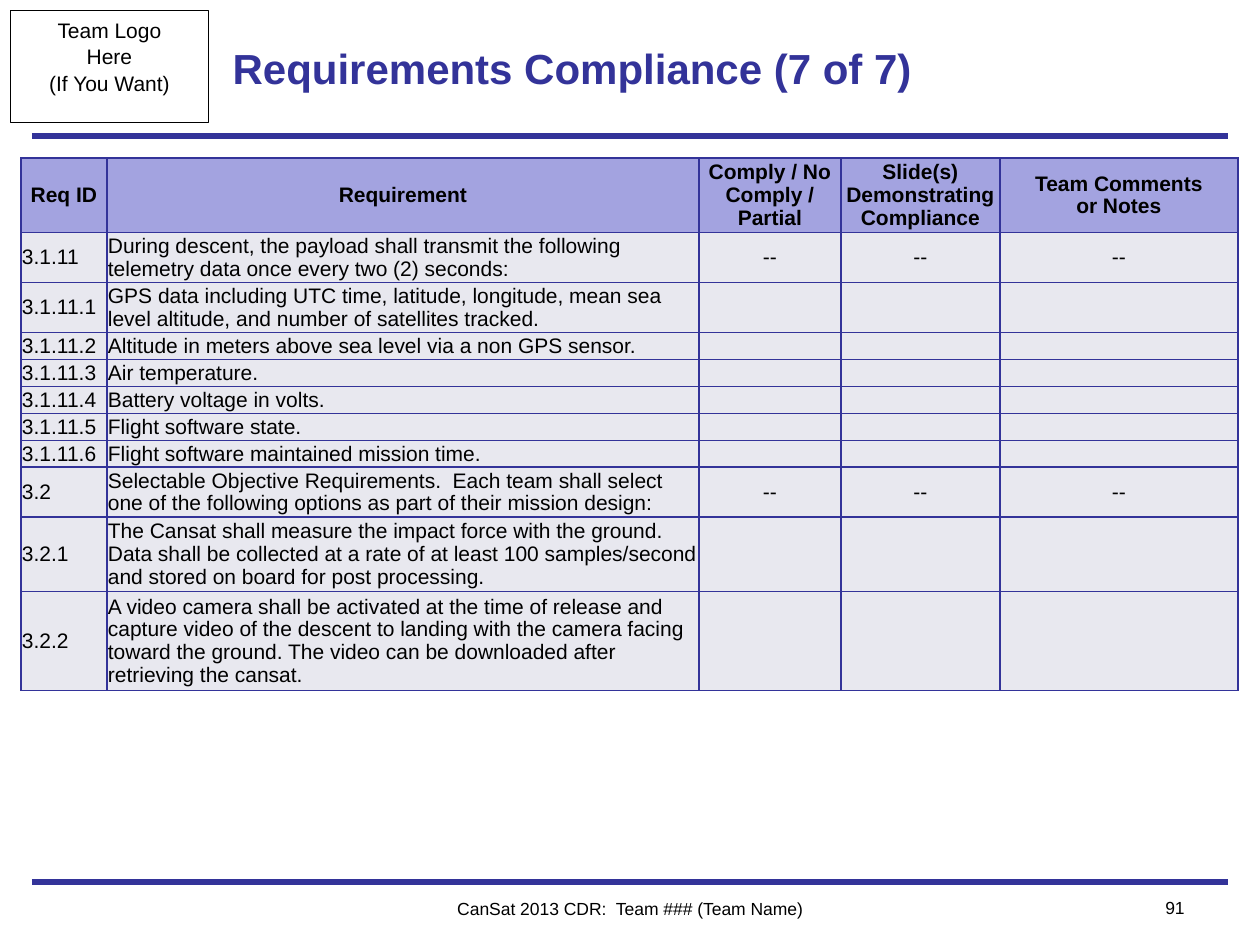
from dataclasses import dataclass

import pptx
import pptx.dml.color
import pptx.enum.shapes
import pptx.enum.text
import pptx.oxml
import pptx.oxml.ns
import pptx.util
from lxml import etree

EMU_PER_PX = 914400 / 126
ALIGN = pptx.enum.text.PP_ALIGN
ANCHOR = pptx.enum.text.MSO_ANCHOR


@dataclass(frozen=True)
class Theme:
    font: str = "Arial"
    accent: str = "333399"
    text: str = "000000"
    header_fill: str = "A3A3E0"
    body_fill: str = "E8E8EF"
    title_size: int = 24
    body_size: int = 12
    footer_size: int = 10
    rule_width: int = 3
    border_width: int = 1
    frame_width: float = 0.5


@dataclass(frozen=True)
class Box:
    left: int
    top: int
    width: int
    height: int

    def emu(self) -> tuple:
        return px(self.left), px(self.top), px(self.width), px(self.height)


@dataclass(frozen=True)
class Footer:
    box: Box
    text: str
    align: ALIGN


@dataclass(frozen=True)
class Requirement:
    req_id: str
    text: str
    height: int
    status: str = ""


THEME = Theme()
RULE_LEFT, RULE_RIGHT = 32, 1228
RULE_TOPS = (882, 136)
LOGO_BOX = Box(10, 10, 199, 113)
TITLE_BOX = Box(220, 10, 746, 116)
TABLE_LEFT, TABLE_TOP = 21, 158
COLUMN_WIDTHS = (86, 592, 142, 159, 238)
HEADER_HEIGHT = 71
ONE_LINE, TWO_LINES, THREE_LINES, FOUR_LINES = 27, 48, 71, 95

FOOTERS = (
    Footer(Box(378, 892, 504, 34), "CanSat 2013 CDR:  Team ### (Team Name)", ALIGN.CENTER),
    Footer(Box(1102, 891, 95, 34), "91", ALIGN.RIGHT),
)
HEADERS = (
    ("Req ID",),
    ("Requirement",),
    ("Comply / No Comply / Partial",),
    ("Slide(s) Demonstrating Compliance",),
    ("Team Comments", "or Notes"),
)
REQUIREMENTS = (
    Requirement("3.1.11", "During descent, the payload shall transmit the following telemetry data "
                "once every two (2) seconds:", TWO_LINES, "--"),
    Requirement("3.1.11.1", "GPS data including UTC time, latitude, longitude, mean sea level altitude, "
                "and number of satellites tracked.", TWO_LINES),
    Requirement("3.1.11.2", "Altitude in meters above sea level via a non GPS sensor.", ONE_LINE),
    Requirement("3.1.11.3", "Air temperature.", ONE_LINE),
    Requirement("3.1.11.4", "Battery voltage in volts.", ONE_LINE),
    Requirement("3.1.11.5", "Flight software state.", ONE_LINE),
    Requirement("3.1.11.6", "Flight software maintained mission time.", ONE_LINE),
    Requirement("3.2", "Selectable Objective Requirements.  Each team shall select one of the following "
                "options as part of their mission design:", TWO_LINES, "--"),
    Requirement("3.2.1", "The Cansat shall measure the impact force with the ground. Data shall be "
                "collected at a rate of at least 100 samples/second and stored on board for post "
                "processing.", THREE_LINES),
    Requirement("3.2.2", "A video camera shall be activated at the time of release and capture video of "
                "the descent to landing with the camera facing toward the ground. The video can be "
                "downloaded after retrieving the cansat.", FOUR_LINES),
)


def px(length: int) -> int:
    return round(length * EMU_PER_PX)


def rgb(color: str) -> pptx.dml.color.RGBColor:
    return pptx.dml.color.RGBColor.from_string(color)


def write(frame, lines: tuple, size: int, align: ALIGN, color: str = THEME.text,
          bold: bool = False, line_spacing: float = 1.0) -> None:
    """Put each line in its own paragraph of the text frame."""
    for index, line in enumerate(lines):
        paragraph = frame.paragraphs[0] if index == 0 else frame.add_paragraph()
        paragraph.alignment = align
        paragraph.line_spacing = line_spacing
        run = paragraph.add_run()
        run.text = line
        run.font.name = THEME.font
        run.font.size = pptx.util.Pt(size)
        run.font.bold = bold
        run.font.color.rgb = rgb(color)


def draw_rule(slide, top: int) -> None:
    rule = slide.shapes.add_connector(pptx.enum.shapes.MSO_CONNECTOR.STRAIGHT,
                                      px(RULE_LEFT), px(top), px(RULE_RIGHT), px(top))
    rule.line.color.rgb = rgb(THEME.accent)
    rule.line.width = pptx.util.Pt(THEME.rule_width)
    etree.SubElement(rule._element.spPr, pptx.oxml.ns.qn("a:effectLst"))


def draw_logo_frame(slide) -> None:
    frame = slide.shapes.add_shape(pptx.enum.shapes.MSO_SHAPE.RECTANGLE, *LOGO_BOX.emu())
    frame.shadow.inherit = False
    frame.fill.background()
    frame.line.color.rgb = rgb(THEME.text)
    frame.line.width = pptx.util.Pt(THEME.frame_width)
    frame.text_frame.word_wrap = False
    frame.text_frame.vertical_anchor = ANCHOR.TOP
    write(frame.text_frame, ("Team Logo", "Here", "(If You Want)"), THEME.body_size, ALIGN.CENTER,
          line_spacing=1.05)


def draw_title(slide) -> None:
    title = slide.shapes.title
    title.left, title.top, title.width, title.height = TITLE_BOX.emu()
    title.text_frame.auto_size = pptx.enum.text.MSO_AUTO_SIZE.NONE
    title.text_frame.vertical_anchor = ANCHOR.MIDDLE
    write(title.text_frame, ("Requirements Compliance (7 of 7)",), THEME.title_size, ALIGN.LEFT,
          THEME.accent, bold=True)


def draw_footer(slide, footer: Footer) -> None:
    frame = slide.shapes.add_textbox(*footer.box.emu()).text_frame
    frame.word_wrap = True
    write(frame, (footer.text,), THEME.footer_size, footer.align)


def border_cell(cell) -> None:
    properties = cell._tc.get_or_add_tcPr()
    for index, side in enumerate(("lnL", "lnR", "lnT", "lnB")):
        properties.insert(index, pptx.oxml.parse_xml(
            f'<a:{side} {pptx.oxml.ns.nsdecls("a")} w="{pptx.util.Pt(THEME.border_width)}">'
            f'<a:solidFill><a:srgbClr val="{THEME.accent}"/></a:solidFill></a:{side}>'))


def fill_cell(cell, lines: tuple, align: ALIGN, is_header: bool) -> None:
    cell.fill.solid()
    cell.fill.fore_color.rgb = rgb(THEME.header_fill if is_header else THEME.body_fill)
    cell.vertical_anchor = ANCHOR.MIDDLE
    cell.margin_left = cell.margin_right = cell.margin_top = px(1)
    cell.margin_bottom = 0
    border_cell(cell)
    if any(lines):
        write(cell.text_frame, lines, THEME.body_size, align, bold=is_header, line_spacing=0.97)
    else:
        etree.SubElement(cell.text_frame.paragraphs[0]._p, pptx.oxml.ns.qn("a:endParaRPr"),
                         sz=str(THEME.body_size * 100))


def draw_requirements(slide) -> None:
    heights = (HEADER_HEIGHT, *(requirement.height for requirement in REQUIREMENTS))
    box = Box(TABLE_LEFT, TABLE_TOP, sum(COLUMN_WIDTHS), sum(heights))
    table = slide.shapes.add_table(len(heights), len(COLUMN_WIDTHS), *box.emu()).table
    for column, width in zip(table.columns, COLUMN_WIDTHS):
        column.width = px(width)
    for row, height in zip(table.rows, heights):
        row.height = px(height)
    for column, lines in enumerate(HEADERS):
        fill_cell(table.cell(0, column), lines, ALIGN.CENTER, is_header=True)
    for row, requirement in enumerate(REQUIREMENTS, start=1):
        texts = (requirement.req_id, requirement.text, *[requirement.status] * 3)
        for column, text in enumerate(texts):
            align = ALIGN.LEFT if column < 2 else ALIGN.CENTER
            fill_cell(table.cell(row, column), (text,), align, is_header=False)


def main() -> None:
    deck = pptx.Presentation()
    deck.slide_width, deck.slide_height = px(1260), px(945)
    slide = deck.slides.add_slide(deck.slide_layouts.get_by_name("Title Only"))
    for top in RULE_TOPS:
        draw_rule(slide, top)
    draw_logo_frame(slide)
    draw_title(slide)
    for footer in FOOTERS:
        draw_footer(slide, footer)
    draw_requirements(slide)
    deck.save("out.pptx")


if __name__ == "__main__":
    main()
